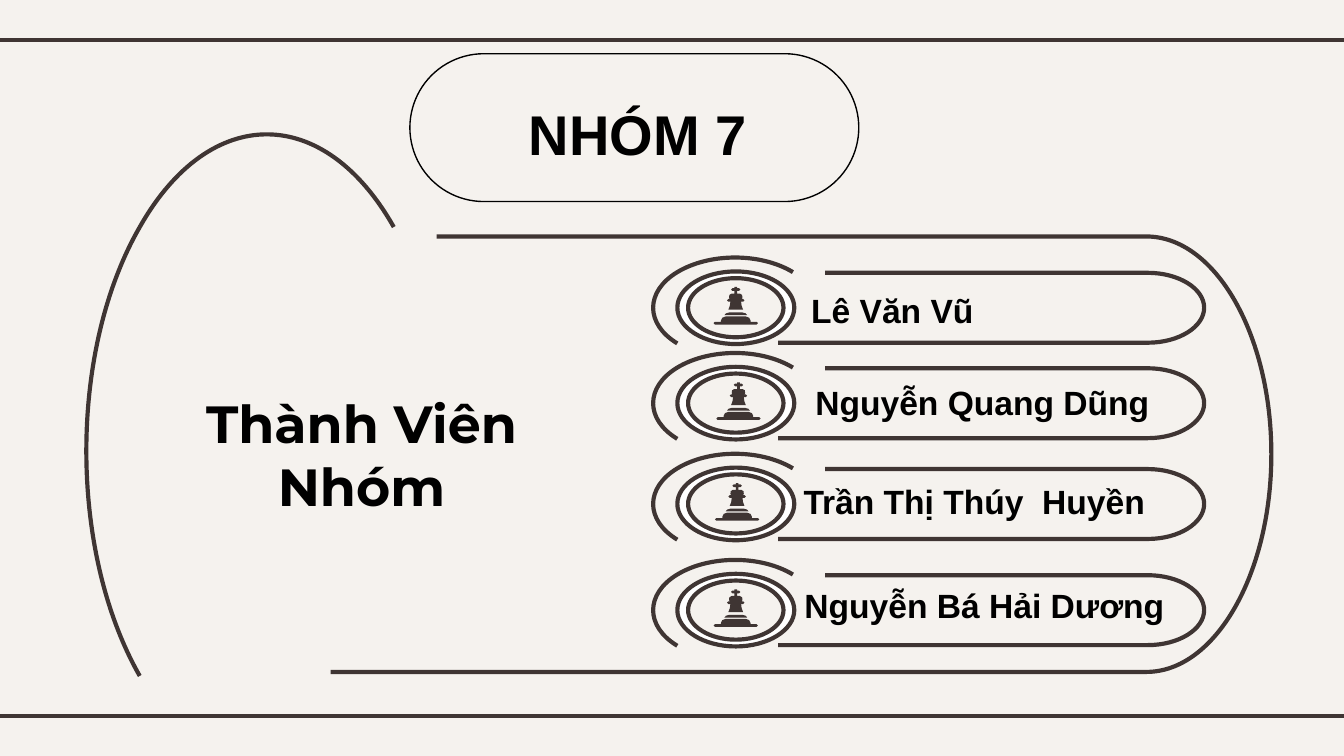
from lxml.etree import SubElement
from pptx import Presentation
from pptx.dml.color import RGBColor
from pptx.enum.shapes import MSO_CONNECTOR, MSO_SHAPE
from pptx.enum.text import MSO_ANCHOR, PP_ALIGN
from pptx.oxml.ns import qn
from pptx.util import Inches, Pt

CREAM = RGBColor(0xF5, 0xF2, 0xEE)
BROWN = RGBColor(0x3F, 0x35, 0x33)
WHITE = RGBColor(0xFF, 0xFF, 0xFF)
BLACK = RGBColor(0x00, 0x00, 0x00)

# Square grid: 100 columns by 56.25 rows
COLS, ROWS = 100, 56.25
WIDTH = Inches(10)
CELL = WIDTH / COLS
ROUND = 0.55  # handle length of a quarter ellipse, as a share of its radius

# Name, row of the pill's centre, column of the icon's axis, text box
MEMBERS = [
    ("Lê Văn Vũ", 22.9, 54.75, (52.7, 19.3, 27.4, 6.3)),
    ("Nguyễn Quang Dũng", 30, 54.95, (59.4, 26.1, 27.4, 6.3)),
    ("Trần Thị Thúy  Huyền", 37.5, 54.85, (53.7, 33.5, 37.6, 6.3)),
    ("Nguyễn Bá Hải Dương", 45.4, 54.75, (52, 41.2, 42.5, 6.3)),
]

# Right halves of the chess king's parts, from its axis and top;
# two numbers make a corner, six make a Bézier curve
KING_HALVES = [
    [(0.1, 0), (0.1, 0.1), (0.25, 0.1), (0.35, 0.2), (0.25, 0.3), (0.1, 0.3),
     (0.1, 0.5), (0.3, 0.5), (0.45, 0.5, 0.55, 0.65, 0.5, 0.8),
     (0.45, 0.9), (0.55, 0.9), (0.65, 1), (0.55, 1.1), (0.4, 1.1),
     (0.4, 1.3, 0.45, 1.5, 0.55, 1.7)],
    [(0.5, 1.9), (0.7, 1.9, 0.8, 2, 0.85, 2.1)],
    [(0.75, 2.2), (0.95, 2.2, 1.1, 2.35, 1.1, 2.5), (1.1, 2.6),
     (1.55, 2.6), (1.65, 2.7), (1.55, 2.8)],
]


def cells(*values):
    return [round(v * CELL) for v in values]


def pairs(step):
    return list(zip(step[::2], step[1::2]))


def backwards(steps):
    """The same steps, walked from the last point to the first."""
    result = [steps[-1][-2:]]
    for before, step in zip(steps[-2::-1], steps[:0:-1]):
        handles = pairs(step)[-2::-1]
        result.append(sum(handles, ()) + before[-2:])
    return result


def placed(steps, x, y, side=1):
    return [sum(((x + side * a, y + b) for a, b in pairs(step)), ())
            for step in steps]


def ellipse(cx, cy, rx, ry):
    kx, ky = ROUND * rx, ROUND * ry
    return placed([(rx, 0), (rx, ky, kx, ry, 0, ry),
                   (-kx, ry, -rx, ky, -rx, 0),
                   (-rx, -ky, -kx, -ry, 0, -ry),
                   (kx, -ry, rx, -ky, rx, 0)], cx, cy)


def style(sp, fill=None, line=None, width=2.25):
    sp.shadow.inherit = False
    if fill is None:
        sp.fill.background()
    else:
        sp.fill.solid()
        sp.fill.fore_color.rgb = fill
    if line is None:
        sp.line.fill.background()
    else:
        sp.line.color.rgb = line
        sp.line.width = Pt(width)


def add_outline(s, contours, close=False, fill=None, line=None):
    builder = s.shapes.build_freeform(*cells(*contours[0][0]), scale=1.0)
    for i, steps in enumerate(contours):
        if i:
            builder.move_to(*cells(*steps[0]))
        points = [cells(*pt) for step in steps[1:] for pt in pairs(step)]
        builder.add_line_segments(points, close=close)
    sp = builder.convert_to_shape()
    style(sp, fill, line)

    # Join the three segments of each six-number step into one curve
    outline = next(sp._element.iter(qn("a:path")))
    segments = iter(outline.findall(qn("a:lnTo")))
    for steps in contours:
        for step in steps[1:]:
            first, *rest = [next(segments) for _ in pairs(step)]
            if rest:
                first.tag = qn("a:cubicBezTo")
            for segment in rest:
                first.append(segment[0])
                outline.remove(segment)


def add_rule(s, row):
    x1, x2, y = cells(0, COLS, row)
    ln = s.shapes.add_connector(MSO_CONNECTOR.STRAIGHT, x1, y, x2, y)
    ln.line.color.rgb = BROWN
    ln.line.width = Pt(2.25)
    SubElement(ln._element.spPr, qn("a:effectLst"))


def add_text(s, box, text, size, font="Arial", anchor=MSO_ANCHOR.TOP):
    tf = s.shapes.add_textbox(*cells(*box)).text_frame
    tf.word_wrap = True
    tf.vertical_anchor = anchor
    tf.margin_left = tf.margin_right = Inches(0.1)
    tf.margin_top = tf.margin_bottom = Inches(0.1)
    p = tf.paragraphs[0]
    p.text = text
    p.alignment = PP_ALIGN.CENTER
    f = p.runs[0].font
    f.name, f.size, f.bold = font, Pt(size), True
    f.color.rgb = BLACK


def add_pill(s, bottom_left, top_left, bend, right, top, bottom):
    """Open pill with one rounded end on the right."""
    mid = (top + bottom) / 2
    kx, ky = ROUND * (right - bend), ROUND * (bottom - top) / 2
    add_outline(s, [[
        (bottom_left, bottom), (bend, bottom),
        (bend + kx, bottom, right, mid + ky, right, mid),
        (right, mid - ky, bend + kx, top, bend, top),
        (top_left, top)]], line=BROWN)


def add_king(s, axis, top):
    for half in KING_HALVES:
        steps = placed(half, axis, top) + placed(backwards(half), axis, top, -1)
        add_outline(s, [steps], close=True, fill=BROWN)


def add_member(s, name, mid, axis, box):
    add_text(s, box, name, 18, anchor=MSO_ANCHOR.BOTTOM)
    add_king(s, axis, mid - 1.55)
    add_pill(s, 57.9, 61.4, 85.4, 89.6, mid - 2.6, mid + 2.6)
    # Ring around the icon, then the open arc outside it
    add_outline(s, [ellipse(54.75, mid, 4.35, 2.7),
                    ellipse(54.75, mid, 3.55, 2.2)],
                close=True, fill=WHITE, line=BROWN)
    add_outline(s, [[
        (50.4, mid + 2.65),
        (48, mid + 1.2, 48, mid - 1.2, 50.4, mid - 2.65),
        (52.8, mid - 4.1, 56.6, mid - 4.1, 59, mid - 2.65)]], line=BROWN)


def main():
    prs = Presentation()
    prs.slide_width, prs.slide_height = WIDTH, round(ROWS * CELL)
    s = prs.slides.add_slide(prs.slide_layouts[6])
    s.background.fill.solid()
    s.background.fill.fore_color.rgb = CREAM

    # Rules at top and bottom
    for row in (3, 53.3):
        add_rule(s, row)

    # Title
    sp = s.shapes.add_shape(MSO_SHAPE.ROUNDED_RECTANGLE,
                            *cells(30.5, 4, 33.4, 11))
    sp.adjustments[0] = 0.5
    style(sp, CREAM, BLACK, 0.75)
    add_text(s, (23.8, 6.4, 47.3, 5.4), "NHÓM 7", 30)

    # Members
    for member in MEMBERS:
        add_member(s, *member)

    # Group heading and its large frame
    add_text(s, (11.4, 28.1, 31, 6.8), "Thành Viên Nhóm", 28, "Montserrat")
    add_pill(s, 24.6, 32.5, 85.3, 94.6, 17.6, 50)
    add_outline(s, [[
        (10.4, 50.3), (5.1, 41, 5.1, 26.1, 10.4, 16.9),
        (15.6, 7.7, 24.1, 7.7, 29.3, 16.9)]], line=BROWN)

    prs.save("out.pptx")


if __name__ == "__main__":
    main()
